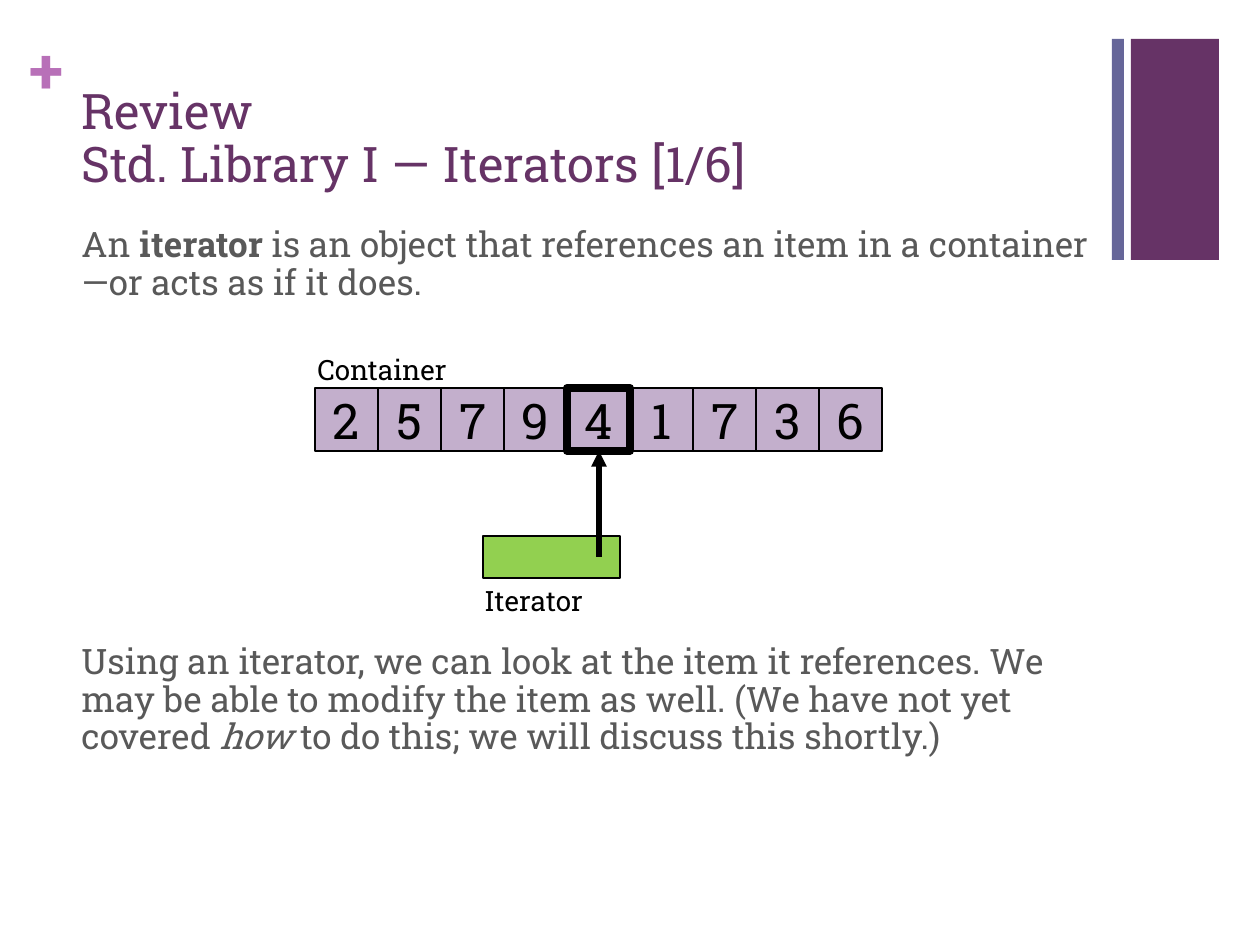
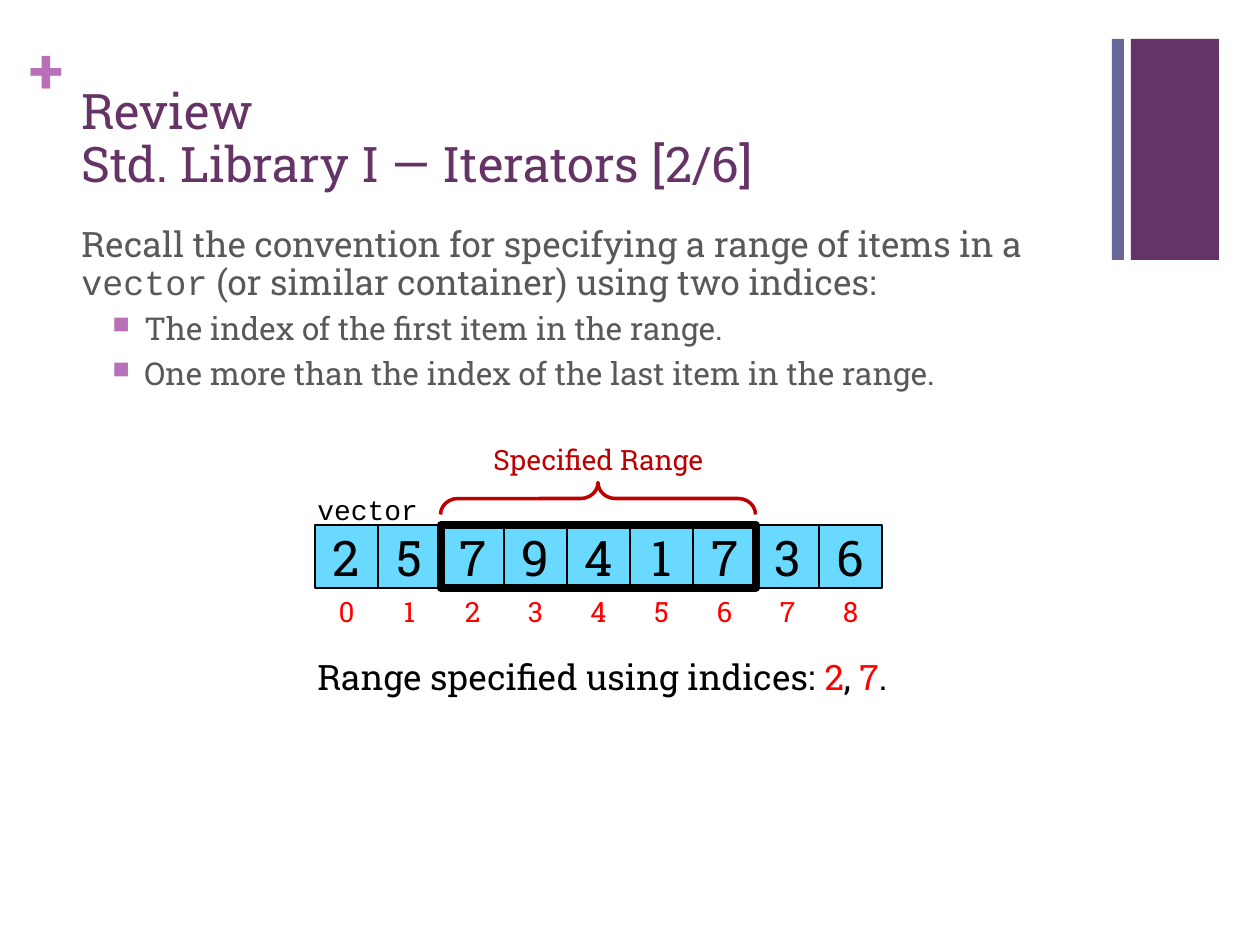
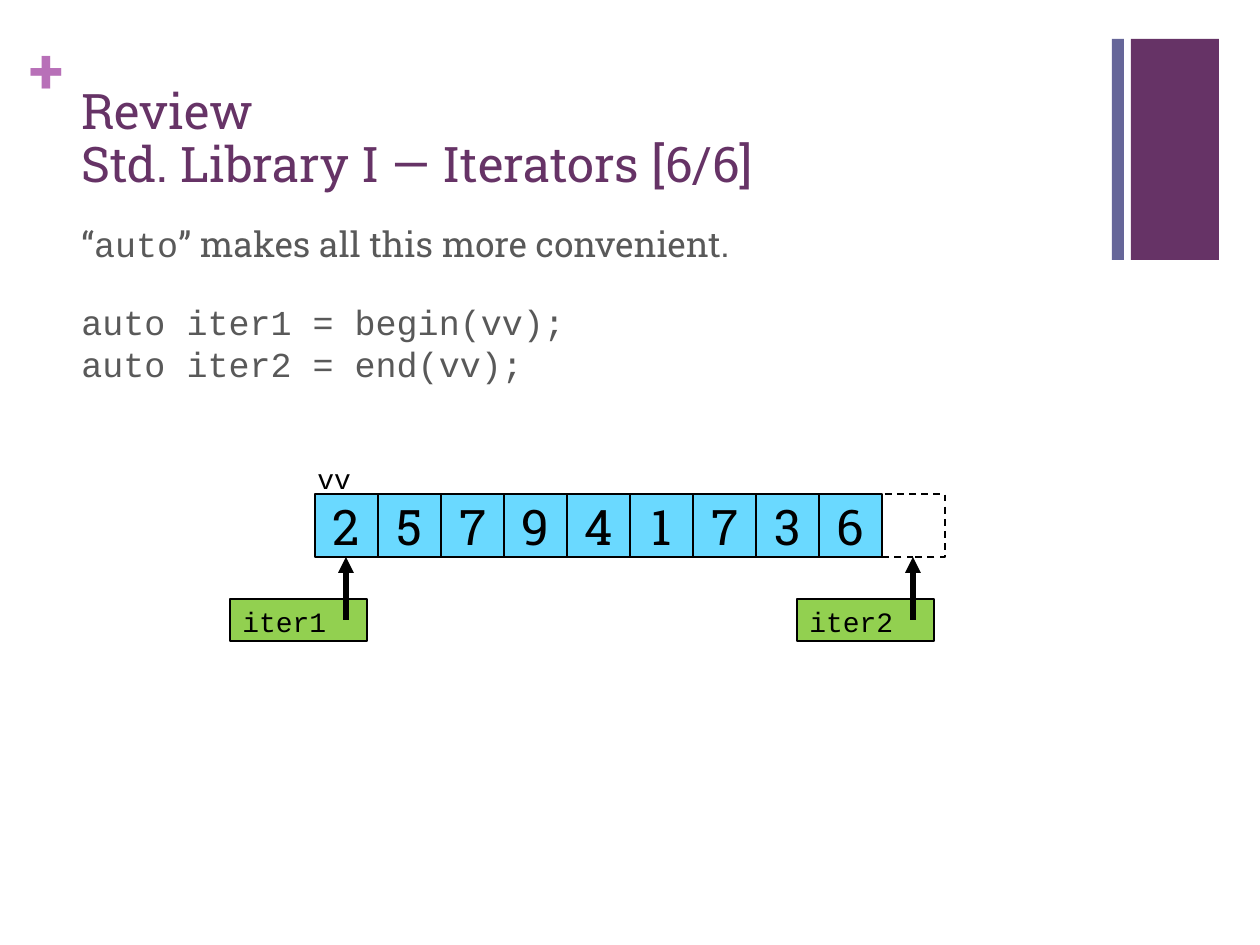
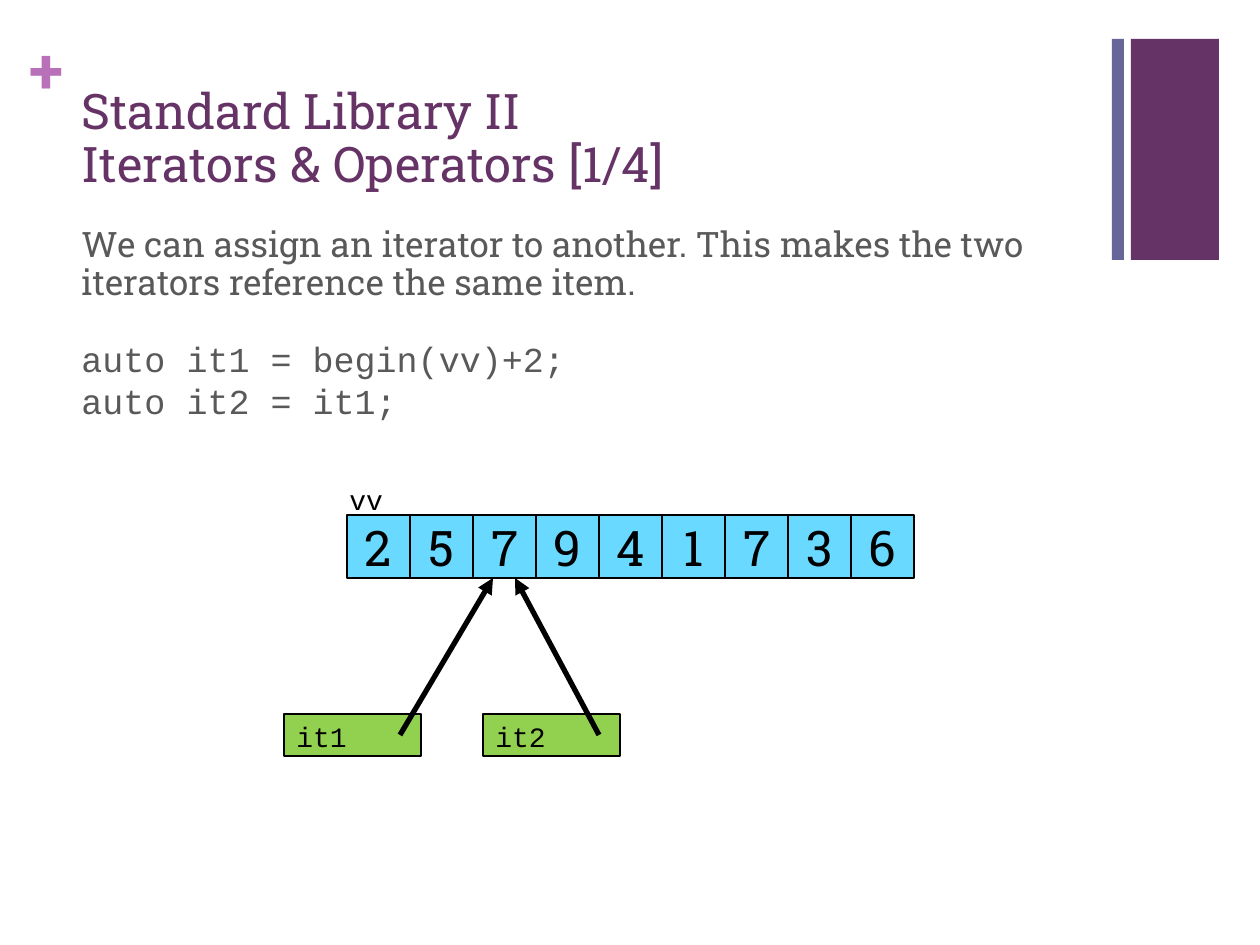
"""Builds four slides on iterators and the containers they reference."""
from dataclasses import dataclass

from lxml.etree import SubElement
from pptx import Presentation
from pptx.dml.color import RGBColor
from pptx.enum.dml import MSO_LINE
from pptx.enum.shapes import MSO_CONNECTOR, MSO_SHAPE
from pptx.enum.text import MSO_ANCHOR, MSO_AUTO_SIZE, PP_ALIGN
from pptx.oxml.ns import qn
from pptx.util import Pt


@dataclass(frozen=True)
class Theme:
    font: str = "Roboto Slab"
    code_font: str = "Courier New"
    plum: str = "663366"
    slate: str = "666699"
    orchid: str = "B870B8"
    body: str = "595959"
    black: str = "000000"
    red: str = "FF0000"
    dark_red: str = "C00000"
    lilac: str = "C3AFCC"
    sky: str = "6AD9FF"
    green: str = "92D050"
    plus_size: int = 36
    title_size: int = 28
    cell_size: int = 28
    body_size: int = 20
    bullet_size: int = 18
    label_size: int = 16
    body_spacing: float = 0.9
    code_line: int = 24
    label_line: int = 21
    thin: int = 1
    brace: int = 2
    arrow: int = 3
    thick: float = 4.5


@dataclass(frozen=True)
class Span:
    text: str
    code: bool = False
    bold: bool = False
    italic: bool = False
    color: str = ""


WIDTH, HEIGHT = 1260, 945
CELL = 63
POINTER_WIDTH, POINTER_HEIGHT = 137, 42
POINTER_TAIL = 116
ITEMS = "257941736"
THEME = Theme()


def emu(px):
    return px * 914400 // 126


class Deck:
    def __init__(self, theme):
        self.theme = theme
        self.presentation = Presentation()
        self.presentation.slide_width = emu(WIDTH)
        self.presentation.slide_height = emu(HEIGHT)
        self.page = None

    def save(self):
        self.presentation.save("out.pptx")

    def new_page(self, title):
        theme = self.theme
        layout = self.presentation.slide_layouts[6]
        self.page = self.presentation.slides.add_slide(layout)
        self.shape((1131, 39, 88, 221), theme.plum)
        plus = self.text_box((30, 31, 37, 77))
        plus.margin_left = plus.margin_right = plus.margin_top = plus.margin_bottom = 0
        plus.word_wrap = False
        self.add_spans(plus.paragraphs[0], [Span("+", bold=True)], theme.plus_size, theme.orchid)
        self.shape((1112, 39, 12, 221), theme.slate)
        frame = self.text_box((69, 67, 1041, 132))
        frame.vertical_anchor = MSO_ANCHOR.BOTTOM
        paragraph = frame.paragraphs[0]
        paragraph.line_spacing = theme.body_spacing
        self.add_spans(paragraph, [Span(title)], theme.title_size, theme.plum)

    def text_box(self, area):
        frame = self.page.shapes.add_textbox(*map(emu, area)).text_frame
        frame.word_wrap = True
        return frame

    def add_spans(self, paragraph, spans, size, color):
        for span in spans:
            for number, line in enumerate(span.text.split("\n")):
                if number:
                    paragraph.add_line_break()
                run = paragraph.add_run()
                run.text = line
                font = run.font
                font.name = self.theme.code_font if span.code else self.theme.font
                font.size = Pt(size)
                font.bold = span.bold
                font.italic = span.italic
                font.color.rgb = RGBColor.from_string(span.color or color)

    def body(self, *paragraphs, gap=20):
        theme = self.theme
        frame = self.text_box((69, 221, 1041, 651))
        for number, spans in enumerate(paragraphs):
            paragraph = frame.add_paragraph() if number else frame.paragraphs[0]
            if number:
                paragraph.space_before = Pt(gap)
            all_code = all(span.code for span in spans)
            paragraph.line_spacing = Pt(theme.code_line) if all_code else theme.body_spacing
            self.add_spans(paragraph, spans, theme.body_size, theme.body)
        return frame

    def bullet(self, frame, text):
        theme = self.theme
        paragraph = frame.add_paragraph()
        paragraph.level = 1
        paragraph.space_before = Pt(6)
        paragraph.line_spacing = theme.body_spacing
        properties = paragraph._p.get_or_add_pPr()
        properties.set("marL", str(emu(63)))
        properties.set("indent", str(-emu(32)))
        color = SubElement(properties, qn("a:buClr"))
        SubElement(color, qn("a:srgbClr"), val=theme.orchid)
        SubElement(properties, qn("a:buSzPct"), val="75000")
        SubElement(properties, qn("a:buChar"), char="■")
        self.add_spans(paragraph, [Span(text)], theme.bullet_size, theme.body)

    def label(self, area, spans, color=THEME.black, size=THEME.label_size, centred=False):
        frame = self.text_box(area)
        frame.auto_size = MSO_AUTO_SIZE.SHAPE_TO_FIT_TEXT
        self.label_paragraph(frame, spans, size, color, centred)

    def label_paragraph(self, frame, spans, size, color, centred):
        paragraph = frame.paragraphs[0]
        paragraph.alignment = PP_ALIGN.CENTER if centred else PP_ALIGN.LEFT
        if all(span.code for span in spans):
            paragraph.line_spacing = Pt(self.theme.label_line)
        self.add_spans(paragraph, spans, size, color)

    def shape(self, area, fill=None, line=0, color=THEME.black, kind=MSO_SHAPE.RECTANGLE):
        shape = self.page.shapes.add_shape(kind, *map(emu, area))
        shape.shadow.inherit = False
        if fill:
            shape.fill.solid()
            shape.fill.fore_color.rgb = RGBColor.from_string(fill)
        else:
            shape.fill.background()
        if line:
            shape.line.width = Pt(line)
            shape.line.color.rgb = RGBColor.from_string(color)
        else:
            shape.line.fill.background()
        return shape

    def text_shape(self, area, fill, line, span, size, centred):
        frame = self.shape(area, fill, line).text_frame
        frame.vertical_anchor = MSO_ANCHOR.MIDDLE
        self.label_paragraph(frame, [span], size, self.theme.black, centred)

    def container(self, left, top, fill, name, marked=None):
        theme = self.theme
        for index in sorted(range(len(ITEMS)), key=lambda place: place == marked):
            line = theme.thick if index == marked else theme.thin
            area = (left + index * CELL, top, CELL, CELL)
            self.text_shape(area, fill, line, Span(ITEMS[index]), theme.cell_size, True)
        self.label((left - 10, top - 42, 315, 47), [name])

    def pointer(self, left, top, tip, name=""):
        theme = self.theme
        area = (left, top, POINTER_WIDTH, POINTER_HEIGHT)
        if name:
            self.text_shape(area, theme.green, theme.thin, Span(name, code=True),
                            theme.label_size, False)
        else:
            self.shape(area, theme.green, theme.thin)
        self.arrow((left + POINTER_TAIL, top + POINTER_HEIGHT // 2), tip)

    def arrow(self, start, end):
        arrow = self.page.shapes.add_connector(MSO_CONNECTOR.STRAIGHT, *map(emu, start + end))
        arrow.line.width = Pt(self.theme.arrow)
        arrow.line.color.rgb = RGBColor.from_string(self.theme.black)
        properties = arrow._element.spPr
        SubElement(properties.find(qn("a:ln")), qn("a:tailEnd"), type="triangle")
        SubElement(properties, qn("a:effectLst"))

    def brace(self, area):
        brace = self.shape(area, None, self.theme.brace, self.theme.dark_red, MSO_SHAPE.LEFT_BRACE)
        brace.adjustments[0] = 0.54
        brace.rotation = 90


def iterator_page(deck):
    deck.new_page("Review\nStd. Library I — Iterators [1/6]")
    deck.body(
        [Span("An "), Span("iterator", bold=True),
         Span(" is an object that references an item in a container—or acts as if it does.")],
        [Span("Using an iterator, we can look at the item it references. We may be able to "
              "modify the item as well. (We have not yet covered "),
         Span("how", italic=True),
         Span(" to do this; we will discuss this shortly.)")],
        gap=195)
    deck.container(315, 388, THEME.lilac, Span("Container"), marked=4)
    deck.label((472, 577, 189, 47), [Span("Iterator")])
    deck.pointer(483, 536, (599, 451))


def range_page(deck):
    deck.new_page("Review\nStd. Library I — Iterators [2/6]")
    frame = deck.body(
        [Span("Recall the convention for specifying a range of items in a "),
         Span("vector", code=True),
         Span(" (or similar container) using two indices:")])
    deck.bullet(frame, "The index of the first item in the range.")
    deck.bullet(frame, "One more than the index of the last item in the range.")
    left, top = 315, 525
    first, last = 2, 7
    range_left, range_width = left + first * CELL, (last - first) * CELL
    deck.container(left, top, THEME.sky, Span("vector", code=True))
    for index in range(len(ITEMS)):
        area = (left + index * CELL, top + CELL, CELL, 47)
        deck.label(area, [Span(str(index))], THEME.red, centred=True)
    deck.shape((range_left, top, range_width, CELL), line=THEME.thick)
    deck.label((305, 649, 599, 55),
               [Span("Range specified using indices: "), Span(str(first), color=THEME.red),
                Span(", "), Span(str(last), color=THEME.red), Span(".")],
               size=THEME.body_size)
    deck.label((range_left, 436, range_width, 47), [Span("Specified Range")],
               THEME.dark_red, centred=True)
    deck.brace((582, 341, 32, range_width))


def auto_page(deck):
    deck.new_page("Review\nStd. Library I — Iterators [6/6]")
    deck.body(
        [Span("“"), Span("auto", code=True), Span("” makes all this more convenient.")],
        [Span("auto iter1 = begin(vv);\nauto iter2 = end(vv);", code=True)])
    left, top = 315, 494
    deck.container(left, top, THEME.sky, Span("vv", code=True))
    for name, index in (("iter1", 0), ("iter2", len(ITEMS))):
        tip = left + index * CELL + CELL // 2
        deck.pointer(tip - POINTER_TAIL, 599, (tip, top + CELL), name)
    past_end = deck.shape((left + len(ITEMS) * CELL, top, CELL, CELL), line=THEME.thin)
    past_end.line.dash_style = MSO_LINE.DASH


def assignment_page(deck):
    deck.new_page("Standard Library II\nIterators & Operators [1/4]")
    deck.body(
        [Span("We can assign an iterator to another. This makes the two iterators "
              "reference the same item.")],
        [Span("auto it1 = begin(vv)+2;\nauto it2 = it1;", code=True)])
    top = 515
    deck.container(347, top, THEME.sky, Span("vv", code=True))
    deck.pointer(483, 714, (515, top + CELL), "it2")
    deck.pointer(284, 714, (493, top + CELL), "it1")


def main():
    deck = Deck(THEME)
    for build_page in (iterator_page, range_page, auto_page, assignment_page):
        build_page(deck)
    deck.save()


if __name__ == "__main__":
    main()
